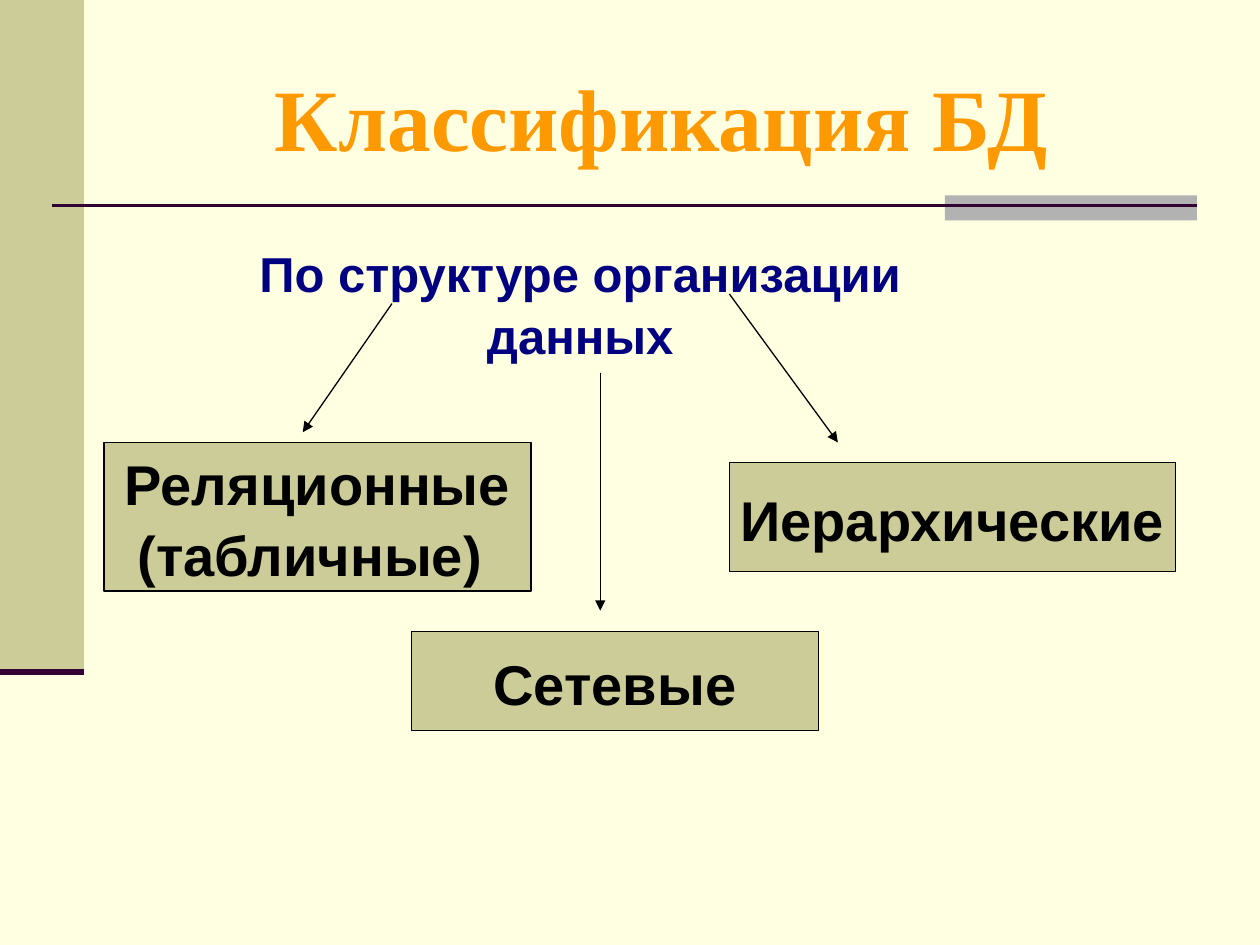
from dataclasses import dataclass

from lxml.etree import SubElement
from pptx import Presentation
from pptx.dml.color import RGBColor
from pptx.enum.shapes import MSO_CONNECTOR as Connector, MSO_SHAPE as Preset
from pptx.enum.text import MSO_ANCHOR as Anchor, PP_ALIGN as Align
from pptx.oxml.ns import qn
from pptx.util import Pt

BLACK, KHAKI, PLUM = "000000", "CCCC99", "330033"


@dataclass
class Area:
    left: float
    top: float
    width: float
    height: float

    def lengths(self) -> list:
        return [Pt(n) for n in (self.left, self.top, self.width, self.height)]


@dataclass
class Category:
    text: str
    area: Area


@dataclass
class Line:
    start: tuple[float, float]
    end: tuple[float, float]
    color: str = BLACK
    weight: float = 0.75
    arrow: bool = False


def paint(target, color: str) -> None:
    target.solid()
    target.fore_color.rgb = RGBColor.from_string(color)


def write(shape, text: str, size: float, color: str, font: str = "Arial",
          wrap: bool = True, spacing: float = 1.05) -> None:
    frame = shape.text_frame
    frame.text = text
    frame.word_wrap = wrap
    for para in frame.paragraphs:
        para.alignment = Align.CENTER
        para.line_spacing = spacing
        for span in para.runs:
            span.font.name = font
            span.font.size = Pt(size)
            span.font.bold = True
            paint(span.font.fill, color)


def draw_rectangle(page, area: Area, fill: str):
    box = page.shapes.add_shape(Preset.RECTANGLE, *area.lengths())
    box.shadow.inherit = False
    paint(box.fill, fill)
    box.line.fill.background()
    return box


def draw_category(page, category: Category) -> None:
    box = draw_rectangle(page, category.area, KHAKI)
    paint(box.line.fill, BLACK)
    box.line.width = Pt(0.75)
    box.text_frame.vertical_anchor = Anchor.MIDDLE
    write(box, category.text, 32, BLACK, wrap=False)


def draw_line(page, line: Line) -> None:
    ends = [Pt(n) for n in (*line.start, *line.end)]
    connector = page.shapes.add_connector(Connector.STRAIGHT, *ends)
    paint(connector.line.fill, line.color)
    connector.line.width = Pt(line.weight)
    if line.arrow:
        outline = connector.line._get_or_add_ln()
        SubElement(outline, qn("a:tailEnd"), type="triangle")
    SubElement(connector._element.spPr, qn("a:effectLst"))


def main() -> None:
    deck = Presentation()
    deck.slide_width, deck.slide_height = Pt(720), Pt(540)
    page = deck.slides.add_slide(deck.slide_layouts[5])
    paint(page.background.fill, "FFFFE1")

    draw_rectangle(page, Area(0, 0, 48, 384), KHAKI)
    draw_rectangle(page, Area(540, 111.6, 144, 14.4), "B2B2B2")
    draw_line(page, Line((30, 117.6), (684, 117.6), PLUM, 1.5))
    draw_line(page, Line((0, 384), (48, 384), PLUM, 3.5))

    title = page.shapes.title
    title.left, title.top, title.width, title.height = Area(72, 21.6, 612, 90).lengths()
    title.text_frame.vertical_anchor = Anchor.MIDDLE
    write(title, "Классификация БД", 50, "FF9900", "Times New Roman", spacing=1)

    criterion = page.shapes.add_textbox(*Area(87.8, 134, 487.5, 75).lengths())
    write(criterion, "По структуре организации данных", 28, "000080")

    for category in (
        Category("Реляционные\n(табличные) ", Area(59.5, 252.8, 244, 85)),
        Category("Иерархические", Area(416.8, 264.2, 255, 62.5)),
        Category("Сетевые", Area(235.2, 360.8, 232.6, 56.8)),
    ):
        draw_category(page, category)

    for start, end in (
        ((224, 173.5), (173, 247)),
        ((416.8, 168), (478.8, 252.8)),
        ((343, 213), (343, 349)),
    ):
        draw_line(page, Line(start, end, arrow=True))

    deck.save("out.pptx")


if __name__ == "__main__":
    main()
